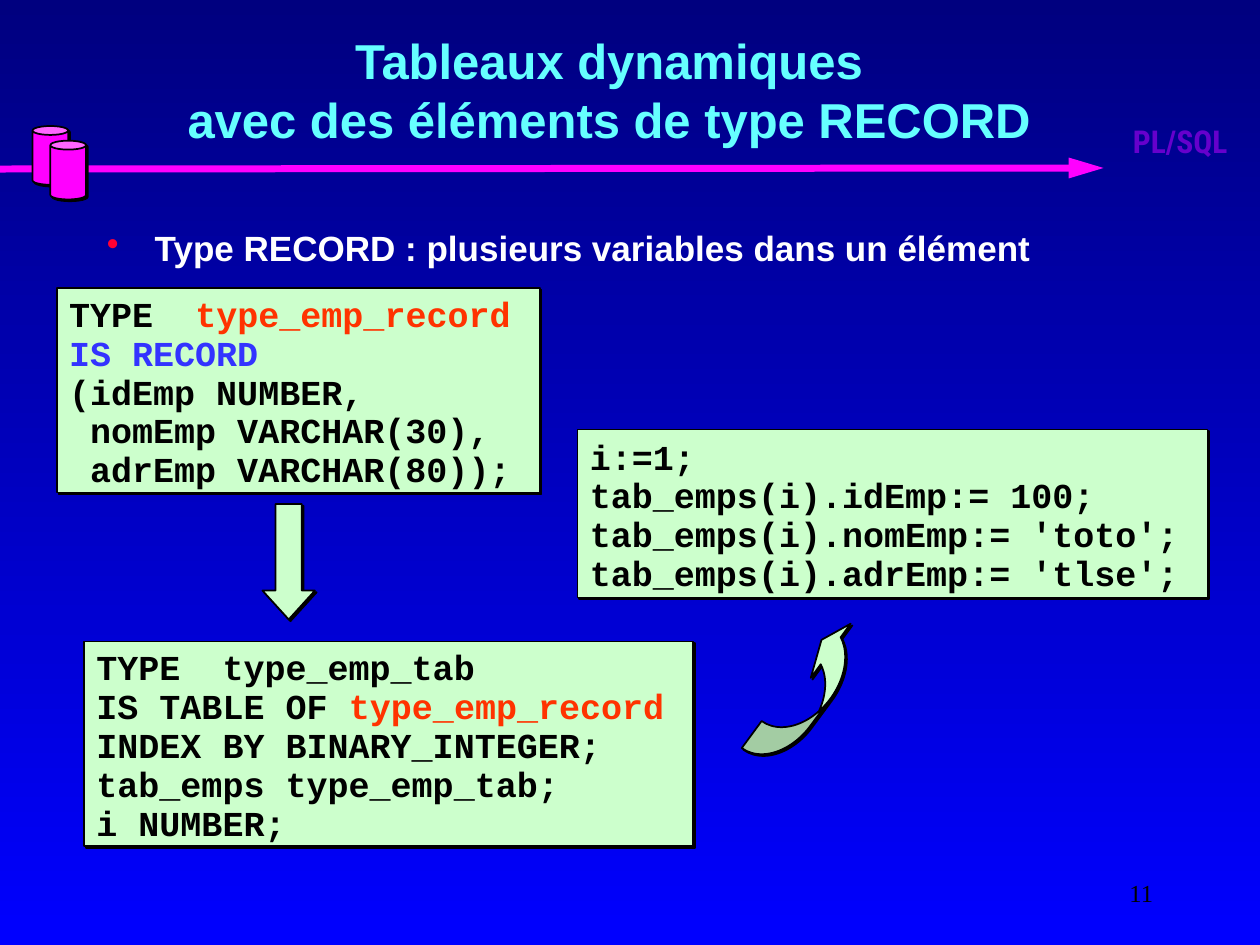
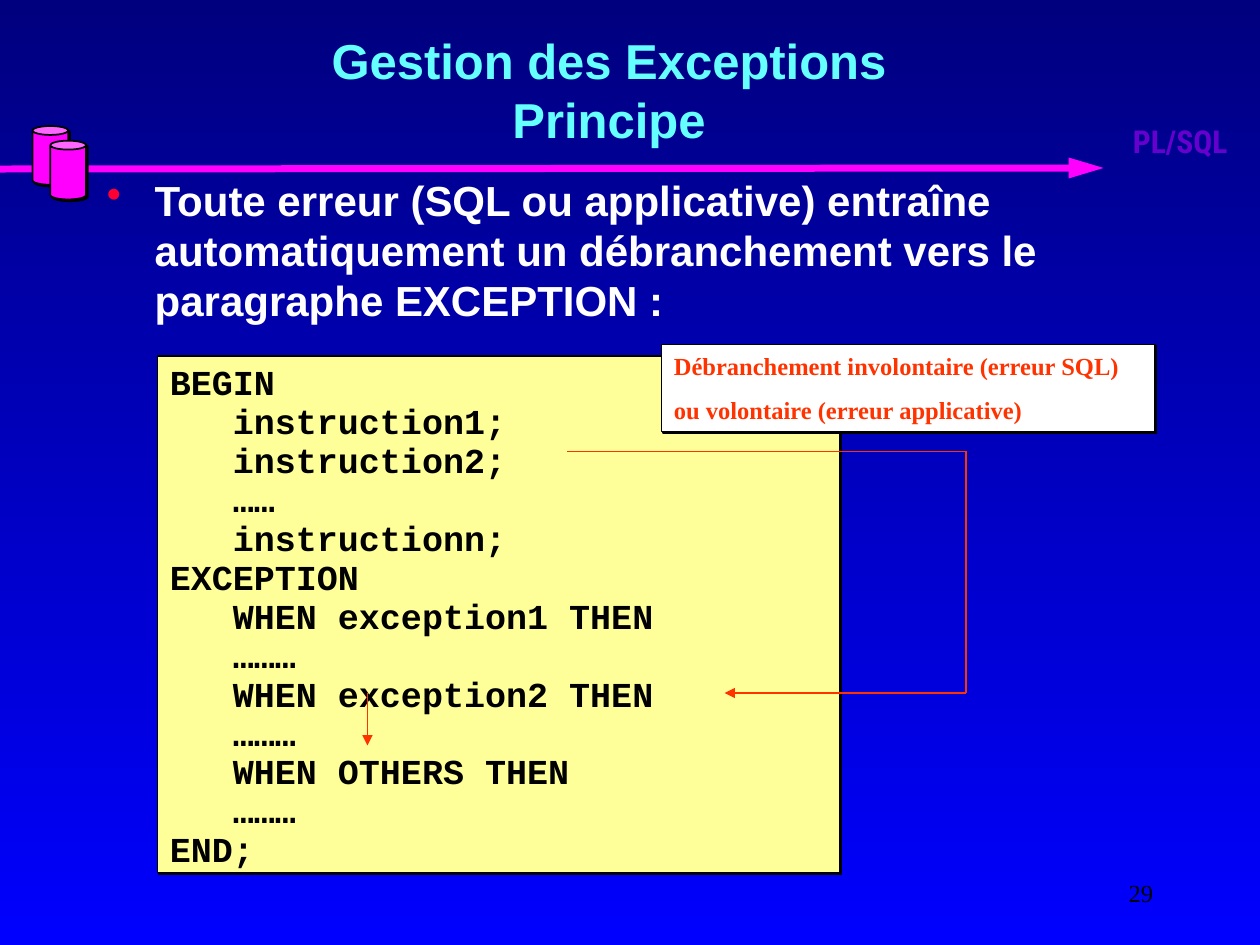
from dataclasses import dataclass
from itertools import pairwise

from lxml import etree
from pptx import Presentation
from pptx.dml.color import RGBColor
from pptx.enum.shapes import MSO_CONNECTOR, MSO_SHAPE
from pptx.enum.text import MSO_ANCHOR, PP_ALIGN
from pptx.oxml.ns import qn
from pptx.util import Inches, Length, Pt

RECTANGLE, CAN = MSO_SHAPE.RECTANGLE, MSO_SHAPE.CAN
DOWN_ARROW, CURVED_ARROW = MSO_SHAPE.DOWN_ARROW, MSO_SHAPE.CURVED_LEFT_ARROW
STRAIGHT = MSO_CONNECTOR.STRAIGHT
LEFT, CENTER, RIGHT = PP_ALIGN.LEFT, PP_ALIGN.CENTER, PP_ALIGN.RIGHT
TOP, MIDDLE = MSO_ANCHOR.TOP, MSO_ANCHOR.MIDDLE

BLACK = RGBColor(0x00, 0x00, 0x00)
WHITE = RGBColor(0xFF, 0xFF, 0xFF)
NAVY = RGBColor(0x00, 0x00, 0x7F)
BLUE = RGBColor(0x00, 0x00, 0xFF)
CYAN = RGBColor(0x66, 0xFF, 0xFF)
MAGENTA = RGBColor(0xFF, 0x00, 0xFF)
PURPLE = RGBColor(0x66, 0x00, 0xCC)
RED = RGBColor(0xFF, 0x00, 0x33)
ORANGE = RGBColor(0xFF, 0x33, 0x00)
KEYWORD_BLUE = RGBColor(0x33, 0x33, 0xFF)
GREEN = RGBColor(0xCC, 0xFF, 0xCC)
YELLOW = RGBColor(0xFF, 0xFF, 0x99)

SLIDE_WIDTH, SLIDE_HEIGHT = Inches(10), Inches(7.5)
COLUMNS, ROWS = 120, 90
CODE_PITCH = Pt(22.25)
CODE_INSETS = (0.1, 0.05, 0.1, 0.01)
TEXT_INSETS = (0.1, 0.05, 0.1, 0.05)

Point = tuple[float, float]


@dataclass(frozen=True)
class Area:
    """A block of grid cells."""
    column: float
    row: float
    columns: float
    rows: float

    def box(self) -> tuple[Length, Length, Length, Length]:
        return across(self.column), down(self.row), across(self.columns), down(self.rows)


@dataclass(frozen=True)
class Style:
    name: str
    size: float
    color: RGBColor
    bold: bool = True
    align: PP_ALIGN = LEFT
    anchor: MSO_ANCHOR = TOP
    insets: tuple[float, ...] = TEXT_INSETS
    pitch: Length | None = None
    gap: float = 0


@dataclass(frozen=True)
class Span:
    text: str
    color: RGBColor


@dataclass(frozen=True)
class Panel:
    area: Area
    fill: RGBColor
    lines: list[list[str | Span]]


TITLE = Style("Arial", 28, CYAN, align=CENTER, anchor=MIDDLE)
TOPIC = Style("Roboto Condensed", 18, PURPLE, align=CENTER)
NUMBER = Style("Times New Roman", 14, BLACK, bold=False, align=RIGHT, anchor=MIDDLE)
CODE = Style("Courier New", 20, BLACK, anchor=MIDDLE, insets=CODE_INSETS, pitch=CODE_PITCH)
NOTE = Style("Times New Roman", 14, ORANGE, gap=8.8)

RECORD_NAME = Span("type_emp_record", ORANGE)
RECORD_PANELS = [
    Panel(Area(5.4, 27.4, 46, 19.5), GREEN, [
        ["TYPE  ", RECORD_NAME],
        [Span("IS RECORD", KEYWORD_BLUE)],
        ["(idEmp NUMBER,"],
        [" nomEmp VARCHAR(30),"],
        [" adrEmp VARCHAR(80));"],
    ]),
    Panel(Area(8, 61.1, 58, 19.5), GREEN, [
        ["TYPE  type_emp_tab"],
        ["IS TABLE OF ", RECORD_NAME],
        ["INDEX BY BINARY_INTEGER;"],
        ["tab_emps type_emp_tab;"],
        ["i NUMBER;"],
    ]),
    Panel(Area(55, 40.9, 60, 16), GREEN, [
        ["i:=1;"],
        ["tab_emps(i).idEmp:= 100;"],
        ["tab_emps(i).nomEmp:= 'toto';"],
        ["tab_emps(i).adrEmp:= 'tlse';"],
    ]),
]
EXCEPTION_PANEL = Panel(Area(15, 33.9, 65, 49.2), YELLOW, [
    ["BEGIN"],
    ["\tinstruction1;"],
    ["\tinstruction2;"],
    ["\t……"],
    ["\tinstructionn;"],
    ["EXCEPTION"],
    ["\tWHEN exception1 THEN"],
    ["\t………"],
    ["\tWHEN exception2 THEN"],
    ["\t………"],
    ["\tWHEN OTHERS THEN"],
    ["\t………"],
    ["END;"],
])
NOTE_LINES = [
    ["Débranchement involontaire (erreur SQL)"],
    ["ou volontaire (erreur applicative)"],
]
BRANCH_PATH = [(54, 43), (92, 43), (92, 66), (69, 66)]
HANDLER_PATH = [(35, 66), (35, 71)]


def across(columns: float) -> Length:
    return Length(round(SLIDE_WIDTH * columns / COLUMNS))


def down(rows: float) -> Length:
    return Length(round(SLIDE_HEIGHT * rows / ROWS))


def set_values(target, values: dict) -> None:
    for name, value in values.items():
        setattr(target, name, value)


def add_span(para, text: str, style: Style, color: RGBColor) -> None:
    for index, part in enumerate(text.split("\n")):
        if index:
            para.add_line_break()
        span = para.add_run()
        span.text = part
        set_values(span.font, {"name": style.name, "size": Pt(style.size), "bold": style.bold})
        span.font.color.rgb = color


def write(shape, lines: list[list[str | Span]], style: Style) -> None:
    frame = shape.text_frame
    sides = ("margin_left", "margin_top", "margin_right", "margin_bottom")
    set_values(frame, dict(zip(sides, map(Inches, style.insets))))
    set_values(frame, {"word_wrap": True, "vertical_anchor": style.anchor})
    for index, line in enumerate(lines):
        para = frame.add_paragraph() if index else frame.paragraphs[0]
        para.alignment = style.align
        if style.pitch:
            para.line_spacing = style.pitch
        if index and style.gap:
            para.space_before = Pt(style.gap)
        for item in line:
            span = item if isinstance(item, Span) else Span(item, style.color)
            add_span(para, span.text, style, span.color)


def add_text(page, area: Area, text: str, style: Style):
    box = page.shapes.add_textbox(*area.box())
    write(box, [[text]], style)
    return box


def add_solid(page, kind: MSO_SHAPE, area: Area, fill: RGBColor):
    """Draw a black-edged shape with a hard shadow to the lower right."""
    shape = page.shapes.add_shape(kind, *area.box())
    shape.fill.solid()
    shape.fill.fore_color.rgb = fill
    shape.line.color.rgb = BLACK
    shape.line.width = Pt(1)
    shape.shadow.inherit = False
    effects = shape._element.spPr.find(qn("a:effectLst"))
    shadow = etree.SubElement(effects, qn("a:outerShdw"), blurRad="0", dist="18000",
                              dir="2700000", algn="ctr", rotWithShape="0")
    etree.SubElement(shadow, qn("a:srgbClr"), val=str(BLACK))
    return shape


def add_panel(page, panel: Panel, style: Style = CODE) -> None:
    write(add_solid(page, RECTANGLE, panel.area, panel.fill), panel.lines, style)


def add_route(page, points: list[Point], color: RGBColor, width: float,
              head_length: str = "med") -> None:
    """Join the points with straight lines; the last one ends in an arrowhead."""
    for start, end in pairwise(points):
        line = page.shapes.add_connector(STRAIGHT, across(start[0]), down(start[1]),
                                         across(end[0]), down(end[1]))
        line.line.color.rgb = color
        line.line.width = Pt(width)
        properties = line._element.spPr
        etree.SubElement(properties, qn("a:effectLst"))
    etree.SubElement(properties.find(qn("a:ln")), qn("a:tailEnd"),
                     type="triangle", w="med", len=head_length)


def add_bullet(page, row: float, text: str, size: float) -> None:
    box = add_text(page, Area(9, row, 102, 54), text, Style("Arial", size, WHITE))
    properties = box.text_frame.paragraphs[0]._p.get_or_add_pPr()
    indent = Inches(0.38)
    properties.set("marL", str(indent))
    properties.set("indent", str(-indent))
    color = etree.SubElement(properties, qn("a:buClr"))
    etree.SubElement(color, qn("a:srgbClr"), val=str(RED))
    etree.SubElement(properties, qn("a:buChar"), char="•")


def add_page(deck, title: str, number: int):
    """Add a slide with the shared background, band, title and number."""
    page = deck.slides.add_slide(deck.slide_layouts[6])
    fill = page.background.fill
    fill.gradient()
    fill.gradient_angle = 270
    for stop, color in zip(fill.gradient_stops, (NAVY, BLUE)):
        stop.color.rgb = color
    add_route(page, [(0, 16.1), (105.1, 16)], MAGENTA, 4, "lg")
    for step in range(2):
        add_solid(page, CAN, Area(3.1 + 1.7 * step, 12 + 1.4 * step, 3.4, 5.6), MAGENTA)
    add_text(page, Area(105.4, 11, 14, 9.4), "PL/SQL", TOPIC)
    add_text(page, Area(86, 82, 25, 6), str(number), NUMBER)
    add_text(page, Area(5, 1, 106, 15), title, TITLE)
    return page


def add_record_page(deck) -> None:
    page = add_page(deck, "Tableaux dynamiques\navec des éléments de type RECORD", 11)
    add_bullet(page, 21, "Type RECORD : plusieurs variables dans un élément", 20)
    for panel in RECORD_PANELS:
        add_panel(page, panel)
    arrow = add_solid(page, DOWN_ARROW, Area(25, 48, 5, 11), GREEN)
    arrow.adjustments[1] = 0.55
    curve = add_solid(page, CURVED_ARROW, Area(75, 58, 4, 16), GREEN)
    for index, share in enumerate((0.8, 1.6, 0.33)):
        curve.adjustments[index] = share
    curve.rotation = 36.4
    curve._element.spPr.find(qn("a:xfrm")).set("flipV", "1")


def add_exception_page(deck) -> None:
    page = add_page(deck, "Gestion des Exceptions\nPrincipe", 29)
    add_bullet(page, 16, "Toute erreur (SQL ou applicative) entraîne automatiquement "
               "un débranchement vers le paragraphe EXCEPTION :", 24)
    add_panel(page, EXCEPTION_PANEL)
    for path in (BRANCH_PATH, HANDLER_PATH):
        add_route(page, path, ORANGE, 1)
    add_panel(page, Panel(Area(63, 32.8, 47, 8.3), WHITE, NOTE_LINES), NOTE)


def main() -> None:
    deck = Presentation()
    deck.slide_width, deck.slide_height = SLIDE_WIDTH, SLIDE_HEIGHT
    add_record_page(deck)
    add_exception_page(deck)
    deck.save("out.pptx")


if __name__ == "__main__":
    main()
